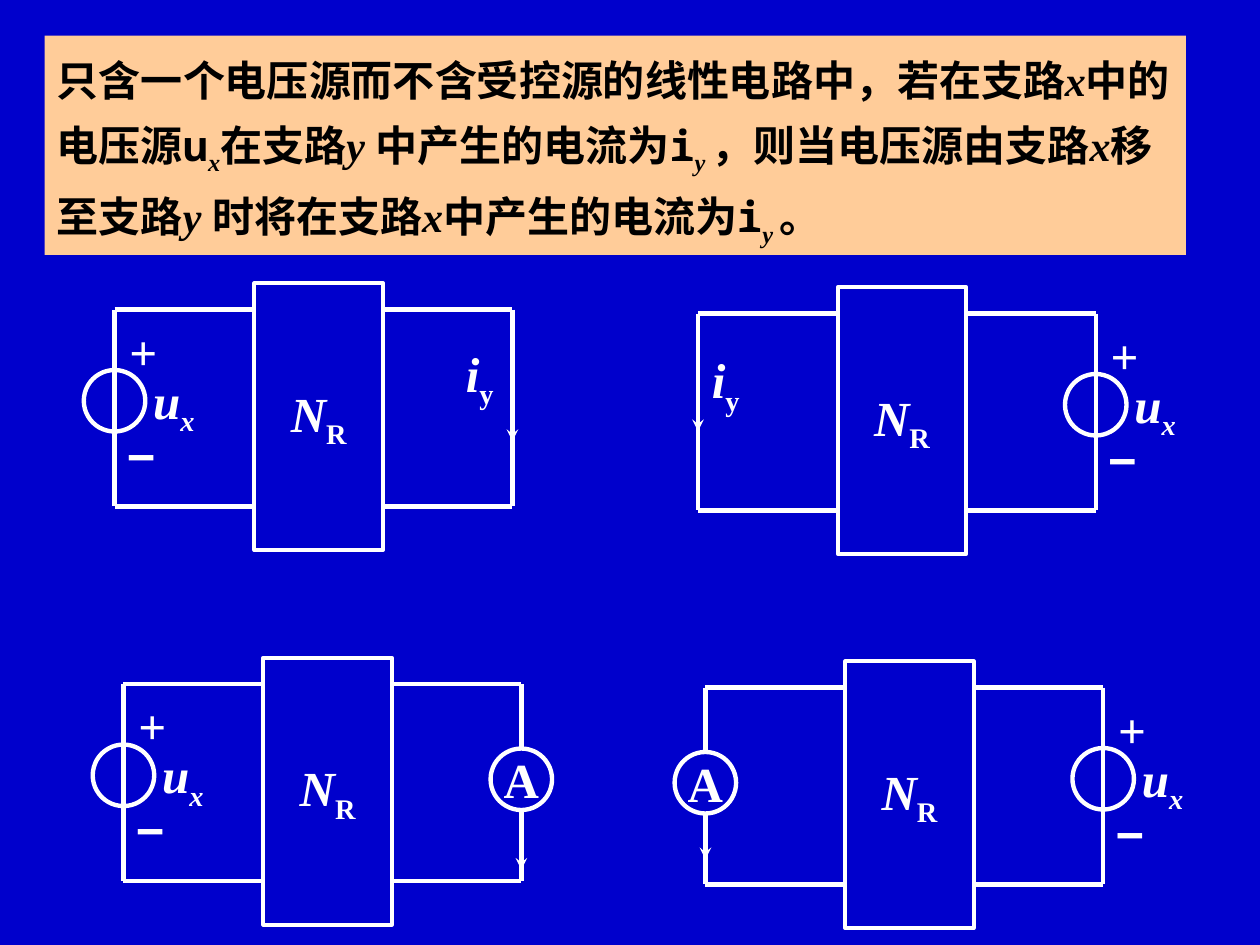
from lxml import etree
from pptx import Presentation
from pptx import util as u
from pptx.dml.color import RGBColor
from pptx.enum import shapes, text
from pptx.oxml.ns import qn

BLUE, WHITE, PEACH, BLACK = "0000CC", "FFFFFF", "FFCC99", "000000"
SERIF, SANS, MONO, CJK = "Times New Roman", "Arial", "Noto Sans Mono", "Noto Sans CJK SC"

# Circuit measures in cm, from the top left corner of the network box
BOX_W, BOX_H = 2.59, 5.38
TOP_WIRE, BOTTOM_WIRE = 0.53, 4.5
BRANCHES = {"left": -2.82, "right": 5.2}
CIRCLE = 1.24


def rgb(code):
    return RGBColor.from_string(code)


class Sketch:
    """Holds the style and the current slide; positions are in cm."""

    def __init__(self, slide, line=WHITE, fill=BLUE, size=28):
        self.s, self.line, self.fill, self.size = slide, line, fill, size
        slide.background.fill.solid()
        slide.background.fill.fore_color.rgb = rgb(fill)

    def add_runs(self, sp, runs, font=SERIF, color=WHITE, size=None, align=text.PP_ALIGN.LEFT):
        """Each run is (text, marks, font): i is italic, s is subscript."""
        p = sp.text_frame.paragraphs[0]
        p.alignment = align
        p.font.size, p.font.bold = u.Pt(size or self.size), True
        p.font.name, p.font.color.rgb = font, rgb(color)
        for words, marks, *own in runs:
            r = p.add_run()
            r.text = words
            r.font.name = own[0] if own else font
            r.font.italic = "i" in marks
            rPr = r._r.get_or_add_rPr()
            etree.SubElement(rPr, qn("a:ea")).set("typeface", CJK)
            if "s" in marks:
                rPr.set("baseline", "-25000")
        return p

    def shape(self, kind, x, y, w, h, fill=None, line=None, width=2.5):
        sp = self.s.shapes.add_shape(kind, u.Cm(x), u.Cm(y), u.Cm(w), u.Cm(h))
        sp.shadow.inherit = False
        if fill:
            sp.fill.solid()
            sp.fill.fore_color.rgb = rgb(fill)
        else:
            sp.fill.background()
        if line:
            sp.line.color.rgb, sp.line.width = rgb(line), u.Pt(width)
        else:
            sp.line.fill.background()
        return sp

    def circle(self, x, y, fill=None):
        return self.shape(shapes.MSO_SHAPE.OVAL, x - CIRCLE / 2, y - CIRCLE / 2,
                          CIRCLE, CIRCLE, fill, self.line)

    def label(self, x, y, w, h, runs, font=SERIF):
        tb = self.s.shapes.add_textbox(u.Cm(x), u.Cm(y), u.Cm(w), u.Cm(h))
        tb.text_frame.word_wrap = True
        self.add_runs(tb, runs, font)

    def wire(self, x1, y1, x2, y2, arrow=False):
        c = self.s.shapes.add_connector(shapes.MSO_CONNECTOR.STRAIGHT,
                                        u.Cm(x1), u.Cm(y1), u.Cm(x2), u.Cm(y2))
        c.line.color.rgb, c.line.width = rgb(self.line), u.Pt(2.25 if arrow else 2.5)
        spPr = c._element.spPr
        if arrow:
            etree.SubElement(spPr.find(qn("a:ln")), qn("a:tailEnd")).set("type", "stealth")
        etree.SubElement(spPr, qn("a:effectLst"))

    def source(self, x, y):
        """Voltage source on the branch at x, with its signs and name."""
        self.circle(x, y + 2.37)
        self.label(x + 0.05, y + 0.64, 1.19, 1.45, [("+", "")])
        self.label(x, y + 2.74, 1.19, 1.45, [("−", "")], SANS)
        self.label(x + 0.53, y + 1.63, 1.7, 1.6, [("u", "i"), ("x", "is")])

    def network(self, x, y):
        sp = self.shape(shapes.MSO_SHAPE.RECTANGLE, x, y, BOX_W, BOX_H,
                        self.fill, self.line, 2.25)
        sp.text_frame.vertical_anchor = text.MSO_ANCHOR.MIDDLE
        self.add_runs(sp, [("N", "i"), ("R", "s")], align=text.PP_ALIGN.CENTER)

    def ammeter(self, x, y):
        sp = self.circle(x, y + 2.45, self.fill)
        tf = sp.text_frame
        tf.word_wrap = False
        tf.margin_left = tf.margin_right = tf.margin_top = tf.margin_bottom = 0
        tf.vertical_anchor = text.MSO_ANCHOR.MIDDLE
        self.add_runs(sp, [("A", "")], align=text.PP_ALIGN.CENTER)

    def circuit(self, x, y, source_side, arrow, current=None):
        """Loop through the network; arrow is the start and end of the current
        arrow, current the offset of its label (an ammeter when absent)."""
        left, right = (x + BRANCHES[side] for side in ("left", "right"))
        src, out = (left, right) if source_side == "left" else (right, left)
        top, bottom = y + TOP_WIRE, y + BOTTOM_WIRE
        self.source(src, y)
        for level in (top, bottom):
            self.wire(left, level, right, level)
        for branch in (left, right):
            self.wire(branch, top, branch, bottom)
        self.wire(out, y + arrow[0], out, y + arrow[1], arrow=True)
        self.network(x, y)
        if current:
            self.label(out + current[0], y + current[1], 1.42, 1.6,
                       [("i", "i"), ("y", "s")])
        else:
            self.ammeter(out, y)

    def statement(self, x, y, w, h, runs):
        sp = self.shape(shapes.MSO_SHAPE.RECTANGLE, x, y, w, h, PEACH)
        sp.text_frame.vertical_anchor = text.MSO_ANCHOR.TOP
        self.add_runs(sp, runs, color=BLACK, size=24).line_spacing = 1.25


prs = Presentation()
prs.slide_width, prs.slide_height = u.Cm(25.4), u.Cm(19.05)
sketch = Sketch(prs.slides.add_slide(prs.slide_layouts[6]))

# Reciprocity theorem
sketch.statement(0.9, 0.72, 23.01, 4.42, [
    ("只含一个电压源而不含受控源的线性电路中，若在支路", "", CJK), ("x", "i"),
    ("中的", ""), ("电压源", "", CJK), ("u", "", MONO), ("x", "is"),
    ("在支路", ""), ("y ", "i"), ("中产生的电流为", ""), ("i", "", MONO), ("y ", "is"),
    ("，", ""), ("则当", "", CJK), ("电压源由支路", "", MONO), ("x", "i"),
    ("移至支路", ""), ("y ", "i"), ("时将在支路", ""), ("x", "i"),
    ("中产生的电流为", ""), ("i", "", MONO), ("y ", "is"), ("。", ""),
])

# Source and current swap sides
sketch.circuit(5.13, 5.71, "left", (1.68, 3.18), (-1.19, 1.09))
sketch.circuit(16.89, 5.79, "right", (1.42, 2.9), (0.03, 1.14))

# The same with an ammeter
sketch.circuit(5.31, 13.26, "left", (3.28, 4.27))
sketch.circuit(17.04, 13.33, "right", (3.2, 3.99))

prs.save("out.pptx")
